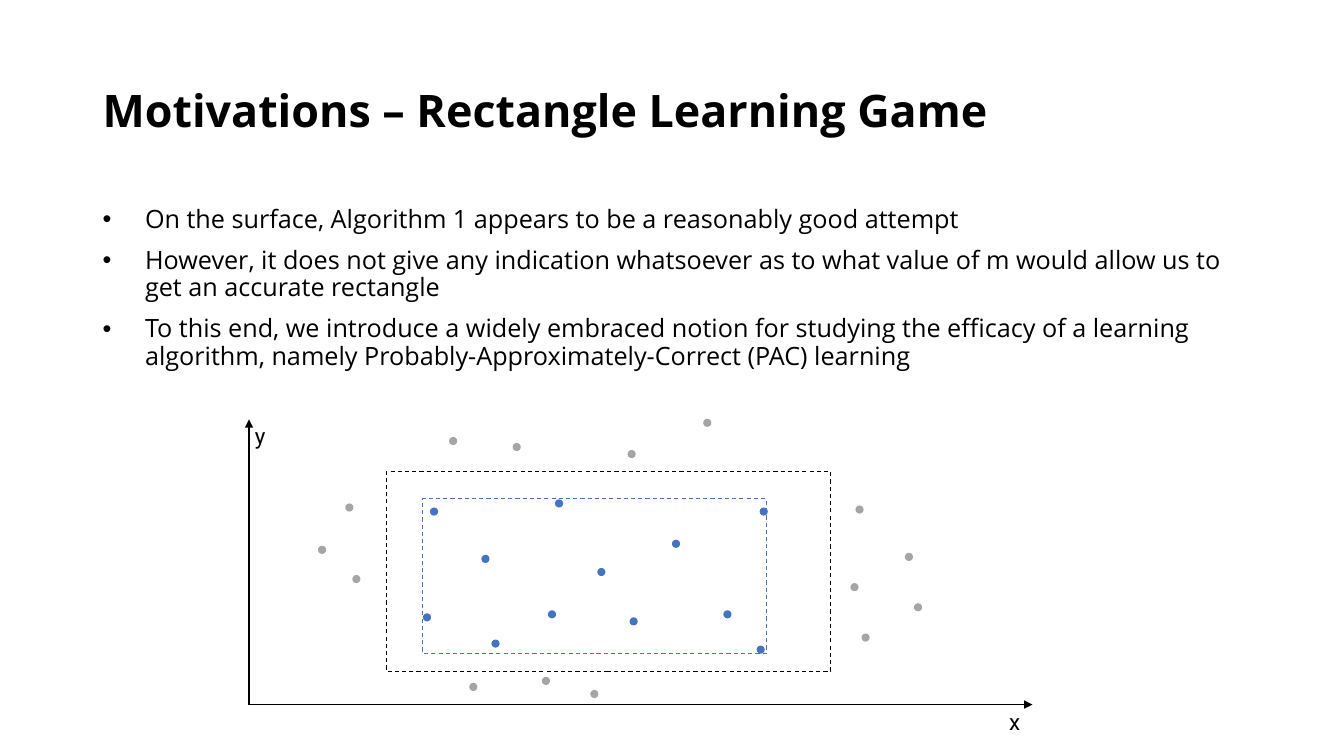
from typing import NamedTuple

from lxml.etree import SubElement
from pptx import Presentation
from pptx.dml.color import RGBColor
from pptx.enum.dml import MSO_LINE
from pptx.enum.shapes import MSO_CONNECTOR, MSO_SHAPE
from pptx.enum.text import MSO_ANCHOR
from pptx.oxml.ns import qn
from pptx.util import Pt

PX = 9144  # EMU per px, 100 px to the inch
BLACK = RGBColor(0x00, 0x00, 0x00)
BLUE = RGBColor(0x44, 0x72, 0xC4)
GRAY = RGBColor(0xA5, 0xA5, 0xA5)
DOT_SIZE = 7
BULLET_INDENT = 42


class Box(NamedTuple):
    x: int
    y: int
    w: int
    h: int

    def emu(self) -> list[int]:
        return [v * PX for v in self]


class Point(NamedTuple):
    x: int
    y: int


BULLETS = [
    "On the surface, Algorithm 1 appears to be a reasonably good attempt",
    "However, it does not give any indication whatsoever as to what value of m "
    "would allow us to get an accurate rectangle",
    "To this end, we introduce a widely embraced notion for studying the efficacy "
    "of a learning algorithm, namely Probably-Approximately-Correct (PAC) learning",
]

ORIGIN = Point(247, 699)
AXIS_ENDS = [Point(1024, 699), Point(247, 416)]
TARGET_RECT = Box(383, 468, 441, 198)
LEARNED_RECT = Box(419, 495, 341, 153)

OUTSIDE_DOTS = [
    Point(316, 542), Point(350, 571), Point(343, 500), Point(446, 434),
    Point(509, 440), Point(623, 447), Point(698, 416), Point(586, 685),
    Point(466, 678), Point(855, 629), Point(538, 672), Point(844, 579),
    Point(849, 502), Point(898, 549), Point(907, 599),
]
INSIDE_DOTS = [
    Point(427, 504), Point(420, 609), Point(488, 635), Point(478, 551),
    Point(551, 496), Point(754, 504), Point(667, 536), Point(593, 564),
    Point(625, 613), Point(544, 606), Point(751, 641), Point(718, 606),
]


def add_text(slide, box: Box, paragraphs: list[str], *, size: int,
             font: str = "Open Sans", bold: bool = False, wrap: bool = True,
             anchor=MSO_ANCHOR.TOP, spacing: float = 1.0,
             bullets: bool = False) -> None:
    tf = slide.shapes.add_textbox(*box.emu()).text_frame
    tf.word_wrap = wrap
    tf.vertical_anchor = anchor
    for i, text in enumerate(paragraphs):
        p = tf.add_paragraph() if i else tf.paragraphs[0]
        p.line_spacing = spacing
        if i:
            p.space_before = Pt(10)
        if bullets:
            add_bullet(p)
        r = p.add_run()
        r.text = text
        r.font.name = font
        r.font.size = Pt(size)
        r.font.bold = bold
        r.font.color.rgb = BLACK


def add_bullet(p) -> None:
    pPr = p._p.get_or_add_pPr()
    pPr.set("marL", str(BULLET_INDENT * PX))
    pPr.set("indent", str(-BULLET_INDENT * PX))
    SubElement(pPr, qn("a:buFont")).set("typeface", "Arial")
    SubElement(pPr, qn("a:buChar")).set("char", "•")


def add_axis(slide, start: Point, end: Point) -> None:
    cx = slide.shapes.add_connector(
        MSO_CONNECTOR.STRAIGHT, *(v * PX for v in (*start, *end)))
    cx.line.color.rgb = BLACK
    cx.line.width = Pt(0.75)
    SubElement(cx.line._get_or_add_ln(), qn("a:tailEnd")).set("type", "triangle")
    SubElement(cx._element.spPr, qn("a:effectLst"))


def add_outlined(slide, kind, box: Box, color: RGBColor):
    sp = slide.shapes.add_shape(kind, *box.emu())
    sp.shadow.inherit = False
    sp.line.color.rgb = color
    sp.line.width = Pt(0.75)
    return sp


def add_dashed_rect(slide, box: Box, color: RGBColor) -> None:
    sp = add_outlined(slide, MSO_SHAPE.RECTANGLE, box, color)
    sp.fill.background()
    sp.line.dash_style = MSO_LINE.DASH


def add_dots(slide, dots: list[Point], color: RGBColor) -> None:
    for dot in dots:
        sp = add_outlined(slide, MSO_SHAPE.OVAL, Box(*dot, DOT_SIZE, DOT_SIZE), color)
        sp.fill.solid()
        sp.fill.fore_color.rgb = color


def main() -> None:
    prs = Presentation()
    prs.slide_width, prs.slide_height = 1333 * PX, 750 * PX
    slide = prs.slides.add_slide(prs.slide_layouts[6])

    add_text(slide, Box(92, 40, 1150, 145), ["Motivations – Rectangle Learning Game"],
             size=32, bold=True, anchor=MSO_ANCHOR.MIDDLE, spacing=0.9)
    add_text(slide, Box(92, 200, 1150, 476), BULLETS,
             size=18, spacing=0.9, bullets=True)

    for end in AXIS_ENDS:
        add_axis(slide, ORIGIN, end)
    add_dashed_rect(slide, TARGET_RECT, BLACK)
    add_dots(slide, OUTSIDE_DOTS, GRAY)
    add_dots(slide, INSIDE_DOTS, BLUE)
    for label, box in (("y", Box(243, 414, 31, 37)), ("x", Box(991, 698, 31, 37))):
        add_text(slide, box, [label], size=16, font="Roboto", wrap=False)
    add_dashed_rect(slide, LEARNED_RECT, BLUE)

    prs.save("out.pptx")


if __name__ == "__main__":
    main()
